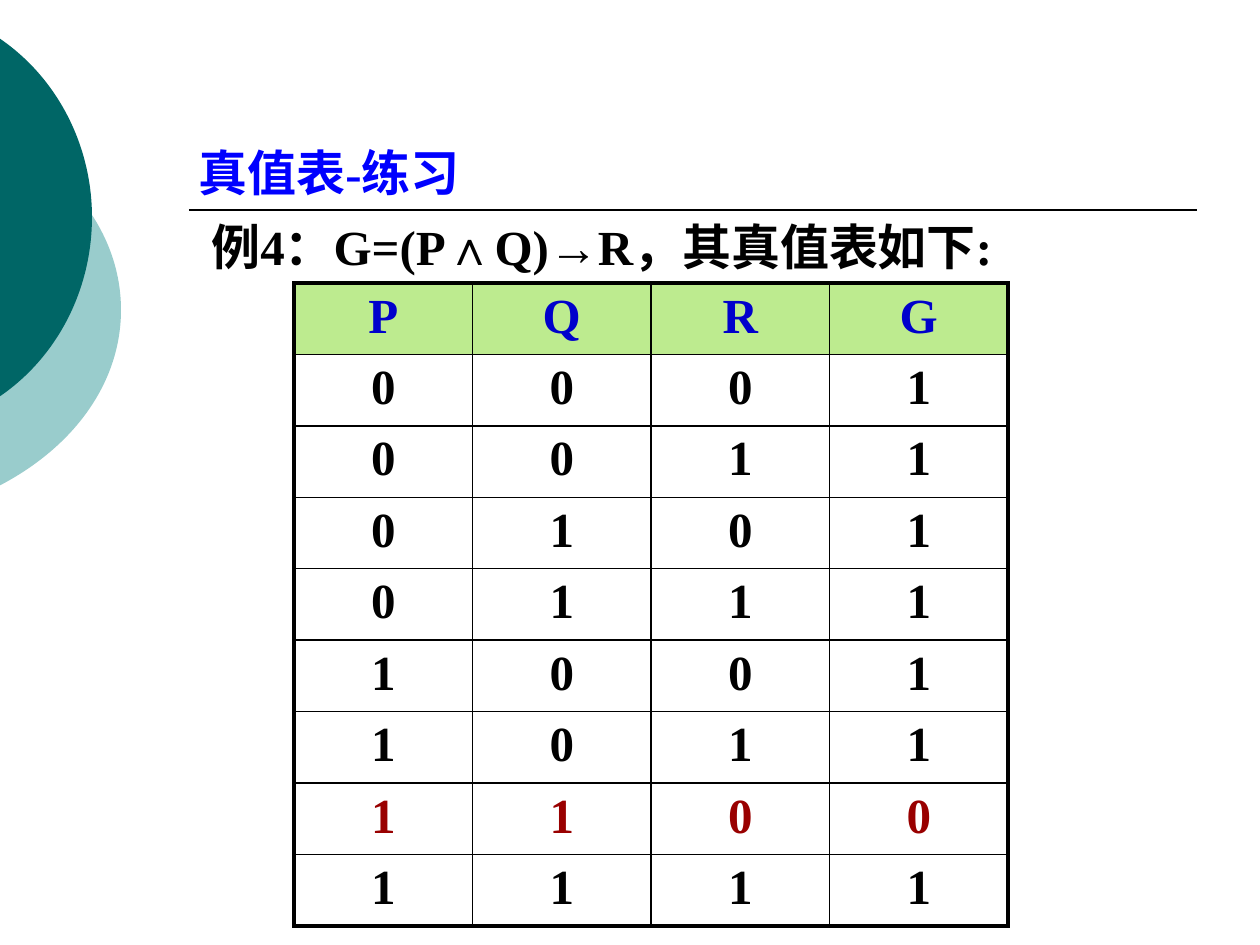
from lxml import etree
from pptx import Presentation
from pptx.dml.color import RGBColor
from pptx.enum.shapes import MSO_CONNECTOR
from pptx.enum.text import MSO_ANCHOR, MSO_AUTO_SIZE, PP_ALIGN
from pptx.oxml.ns import qn
from pptx.util import Pt

LINE = MSO_CONNECTOR.STRAIGHT
TOP = MSO_ANCHOR.TOP
FIXED = MSO_AUTO_SIZE.NONE
LEFT, MID = PP_ALIGN.LEFT, PP_ALIGN.CENTER

PX = 914400 // 126
FONT, SIZE = "Times New Roman", 28
THIN, THICK = 1, 2.25

HUES = {
    "pale": "99CCCC", "dark": "006666", "black": "000000", "title": "0000FF",
    "head": "0000CC", "false": "990000", "green": "BDEB8F",
}
TITLE = "真值表-练习"
TASK = "例4：G=(P∧Q)→R，其真值表如下:"
ROWS = ["PQRG", "0001", "0011", "0101", "0111", "1001", "1011", "1100", "1111"]
ARCS = [
    ("pale", (-446, 94, 567, 431),
     [(-1, 134), (76, 174), (121, 239), (121, 310),
      (121, 381), (76, 446), (-1, 486)]),
    ("dark", (-334, 0, 426, 435),
     [(-1, 38), (58, 78), (92, 146), (92, 217),
      (92, 289), (58, 357), (-1, 397)]),
]
TITLE_BOX = (186, 136, 464, 72)
TASK_BOX = (199, 210, 853, 72)
TASK_END = 46
GRID_BOX = (294, 283, 714, 643)
RULE = (189, 210, 1197, 210)


def emu(box):
    return [n * PX for n in box]


def rgb(hue):
    return RGBColor.from_string(HUES[hue])


def write(frame, text, hue, align):
    frame.text = text
    para = frame.paragraphs[0]
    para.alignment = align
    font = para.runs[0].font
    font.name, font.size, font.bold = FONT, Pt(SIZE), True
    font.color.rgb = rgb(hue)


def set_box(shape, box, text, hue):
    shape.left, shape.top, shape.width, shape.height = emu(box)
    frame = shape.text_frame
    write(frame, text, hue, LEFT)
    frame.word_wrap = True
    frame.auto_size = FIXED
    frame.vertical_anchor = TOP
    return frame


def add_step(track, kind, dots):
    step = etree.SubElement(track, qn("a:" + kind))
    for x, y in dots:
        etree.SubElement(step, qn("a:pt"), x=str(x), y=str(y))


def draw_arc(shapes, hue, box, knots):
    x, y, w, h = box
    pen = shapes.build_freeform(x, y, scale=PX)
    pen.add_line_segments([(x + w, y), (x + w, y + h), (x, y + h)])
    arc = pen.convert_to_shape()
    track = next(arc._element.iter(qn("a:path")))
    for step in list(track):
        track.remove(step)
    track.set("w", str(w))
    track.set("h", str(h))
    dots = [(a - x, b - y) for a, b in knots]
    add_step(track, "moveTo", dots[:1])
    for i in range(1, len(dots), 3):
        add_step(track, "cubicBezTo", dots[i:i + 3])
    add_step(track, "close", [])
    arc.shadow.inherit = False
    arc.fill.solid()
    arc.fill.fore_color.rgb = rgb(hue)
    arc.line.fill.background()


def add_edge(cell, side, width):
    props = cell._tc.get_or_add_tcPr()
    edge = etree.SubElement(props, qn("a:ln" + side), w=str(Pt(width)))
    fill = etree.SubElement(edge, qn("a:solidFill"))
    etree.SubElement(fill, qn("a:srgbClr"), val=HUES["black"])


def draw_grid(shapes):
    high, wide = len(ROWS), len(ROWS[0])
    x, y, w, h = emu(GRID_BOX)
    grid = shapes.add_table(high, wide, x, y, w, h).table
    grid.first_row = grid.horz_banding = False
    for r, row in enumerate(ROWS):
        grid.rows[r].height = h // high
        hue = "head" if r == 0 else "false" if row[-1] == "0" else "black"
        for c, mark in enumerate(row):
            cell = grid.cell(r, c)
            write(cell.text_frame, mark, hue, MID)
            rims = {"L": c == 0, "R": c == wide - 1,
                    "T": r == 0, "B": r == high - 1}
            for side, rim in rims.items():
                add_edge(cell, side, THICK if rim else THIN)
            if r == 0:
                cell.fill.solid()
                cell.fill.fore_color.rgb = rgb("green")
            else:
                cell.fill.background()


def main():
    deck = Presentation()
    deck.slide_width, deck.slide_height = emu((1260, 945))
    slide = deck.slides.add_slide(deck.slide_layouts[5])
    shapes = slide.shapes
    for hue, box, knots in ARCS:
        draw_arc(shapes, hue, box, knots)
    rule = shapes.add_connector(LINE, *emu(RULE))
    rule.line.color.rgb = rgb("black")
    rule.line.width = Pt(THIN)
    etree.SubElement(rule._element.spPr, qn("a:effectLst"))
    task = set_box(shapes.add_textbox(0, 0, 0, 0), TASK_BOX, TASK, "black")
    task.margin_right = TASK_END * PX
    draw_grid(shapes)
    set_box(shapes.title, TITLE_BOX, TITLE, "title")
    deck.save("out.pptx")


if __name__ == "__main__":
    main()
